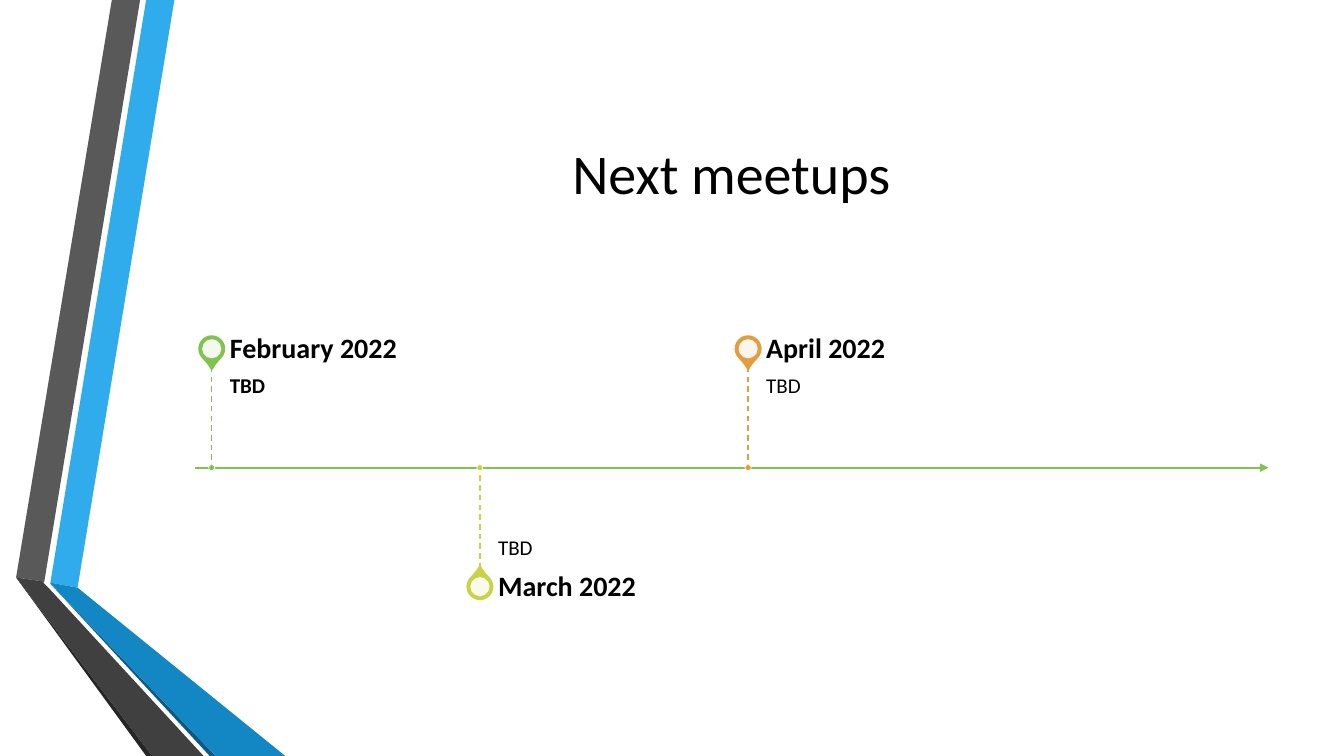
"""Build the "Next meetups" timeline slide."""
import pptx
import pptx.dml.color
import pptx.enum.dml
import pptx.enum.shapes
import pptx.enum.text
import pptx.oxml.ns
import pptx.util
from lxml import etree

Inches = pptx.util.Inches
Pt = pptx.util.Pt
RGB = pptx.dml.color.RGBColor.from_string
SHAPE = pptx.enum.shapes.MSO_SHAPE
ANCHOR = pptx.enum.text.MSO_ANCHOR
qn = pptx.oxml.ns.qn

THEME = {
    "font": "Calibri", "text": "000000", "white": "FFFFFF",
    "title": 40, "month": 20, "detail": 15,
    "green": "80C34F", "lime": "C8D346", "orange": "E29D3E",
    "blue": "30ACEC", "blue_mid": "1287C3", "blue_dark": "0C5A82",
    "gray": "595959", "gray_mid": "404040", "gray_dark": "262626",
}

prs = pptx.Presentation()
prs.slide_width, prs.slide_height = Inches(13.33), Inches(7.5)
s = prs.slides.add_slide(prs.slide_layouts[5])


def add_label(text, top, height, size, bold, anchor, margins, left):
    """Add one line of timeline text."""
    sp = s.shapes.add_textbox(Inches(left), Inches(top), Inches(4.43), Inches(height))
    tf = sp.text_frame
    tf.word_wrap = True
    tf.vertical_anchor = anchor
    tf.margin_left, tf.margin_top, tf.margin_right, tf.margin_bottom = map(Inches, margins)
    tf.text = text
    p = tf.paragraphs[0]
    p.line_spacing = 0.9
    font = p.runs[0].font
    font.name, font.size, font.bold = THEME["font"], Pt(size), bold
    font.color.rgb = RGB(THEME["text"])


def add_line(x1, y1, x2, y2, color, width):
    """Add a straight line without shadow."""
    line = s.shapes.add_connector(pptx.enum.shapes.MSO_CONNECTOR.STRAIGHT,
                                  Inches(x1), Inches(y1), Inches(x2), Inches(y2))
    line.line.color.rgb = RGB(color)
    line.line.width = Pt(width)
    etree.SubElement(line._element.spPr, qn("a:effectLst"))
    return line


ribbons = [
    ("blue", [(0.5, 5.78), (0.77, 5.83), (1.73, 0), (1.45, 0)]),
    ("gray", [(1.39, 0), (1.11, 0), (0.16, 5.73), (0.44, 5.77)]),
    ("gray_dark", [(0.16, 5.73), (1.45, 7.5), (1.51, 7.5)]),
    ("blue_dark", [(0.5, 5.79), (2.08, 7.5), (2.14, 7.5)]),
    ("blue_mid", [(0.5, 5.79), (2.14, 7.5), (2.83, 7.5), (0.77, 5.83), (0.5, 5.78)]),
    ("gray_mid", [(2.02, 7.5), (0.48, 5.83), (0.43, 5.78), (0.44, 5.77),
                  (0.16, 5.73), (1.51, 7.5)]),
]
for color, points in ribbons:
    points = [(Inches(x), Inches(y)) for x, y in points]
    outline = s.shapes.build_freeform(*points[0])
    outline.add_line_segments(points[1:], close=True)
    sp = outline.convert_to_shape()
    sp.shadow.inherit = False
    sp.fill.solid()
    sp.fill.fore_color.rgb = RGB(THEME[color])
    sp.line.fill.background()

title = s.shapes.title
title.left, title.top, title.width, title.height = map(Inches, (1.93, 0.75, 10.65, 1.92))
tf = title.text_frame
tf.text = "Next meetups"
tf.vertical_anchor = ANCHOR.MIDDLE
p = tf.paragraphs[0]
p.alignment = pptx.enum.text.PP_ALIGN.CENTER
font = p.runs[0].font
font.name, font.size = THEME["font"], Pt(THEME["title"])
font.color.rgb = RGB(THEME["text"])

axis_y = 4.64
axis = add_line(1.93, axis_y, 12.58, axis_y, THEME["green"], 1.5)
etree.SubElement(axis.line._get_or_add_ln(), qn("a:tailEnd"), type="triangle")

meetups = [
    ("February 2022", "green", True, True),
    ("March 2022", "lime", False, False),
    ("April 2022", "orange", True, False),
]
for i, (month, color, above, bold_detail) in enumerate(meetups):
    x = 2.1 + 2.66 * i
    color = THEME[color]
    pin_y = axis_y + (-1.18 if above else 1.18)
    stem_y = axis_y + (-1 if above else 1)

    stem = add_line(x, stem_y, x, axis_y, color, 1)
    stem.line.dash_style = pptx.enum.dml.MSO_LINE.DASH

    markers = [
        (SHAPE.TEAR, pin_y, 0.25, color, color, 1.25),
        (SHAPE.OVAL, pin_y, 0.19, THEME["white"], None, 0),
        (SHAPE.OVAL, axis_y, 0.06, color, THEME["white"], 0.5),
    ]
    for kind, y, size, fill, edge, width in markers:
        sp = s.shapes.add_shape(kind, Inches(x - size / 2), Inches(y - size / 2),
                                Inches(size), Inches(size))
        sp.shadow.inherit = False
        sp.fill.solid()
        sp.fill.fore_color.rgb = RGB(fill)
        if edge:
            sp.line.color.rgb = RGB(edge)
            sp.line.width = Pt(width)
        else:
            sp.line.fill.background()
            rgb = sp._element.spPr.find(qn("a:solidFill")).find(qn("a:srgbClr"))
            etree.SubElement(rgb, qn("a:alpha"), val="90000")
        if kind == SHAPE.TEAR:
            sp.adjustments[0] = 1.15
            sp.rotation = 135 if above else 315

    add_label("TBD", min(stem_y, axis_y), 1, THEME["detail"], bold_detail,
              ANCHOR.TOP if above else ANCHOR.BOTTOM,
              (0, 0.1, 0.1, 0.16) if above else (0, 0.16, 0, 0.1), x + 0.18)
    add_label(month, pin_y - 0.17, 0.35, THEME["month"], True,
              ANCHOR.MIDDLE, (0, 0, 0.14, 0), x + 0.18)

prs.save("out.pptx")
